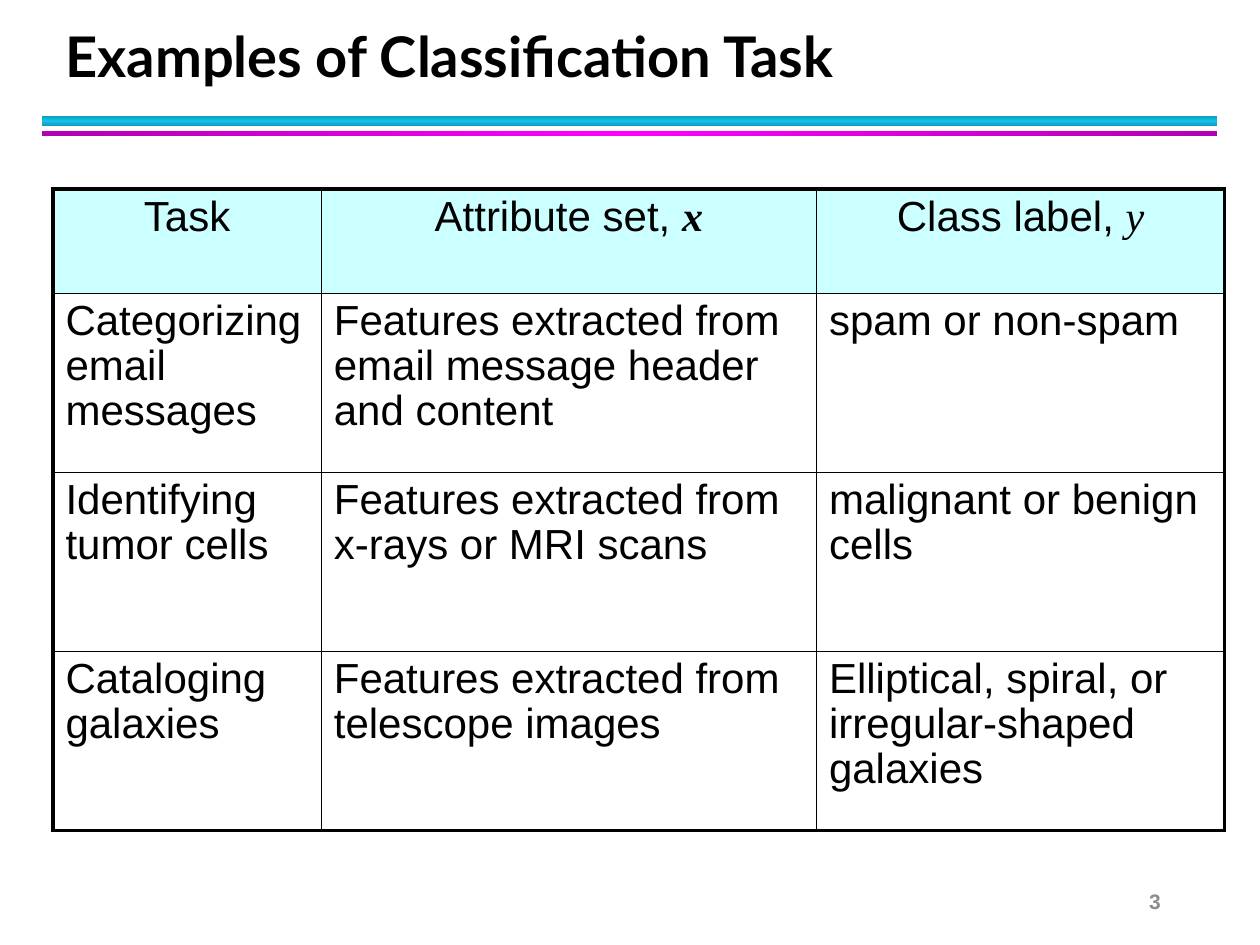
from copy import deepcopy

from pptx import Presentation
from pptx.dml.color import RGBColor
from pptx.enum.shapes import MSO_SHAPE
from pptx.enum.text import MSO_ANCHOR, PP_ALIGN
from pptx.oxml import parse_xml
from pptx.oxml.ns import nsdecls, qn
from pptx.util import Inches, Pt

RECT = MSO_SHAPE.RECTANGLE
MIDDLE, BOTTOM = MSO_ANCHOR.MIDDLE, MSO_ANCHOR.BOTTOM
LEFT, CENTER, RIGHT = PP_ALIGN.LEFT, PP_ALIGN.CENTER, PP_ALIGN.RIGHT

BLACK = RGBColor(0, 0, 0)
GRAY = RGBColor(0x8C, 0x8C, 0x8C)
PALE = RGBColor(0xCC, 0xFF, 0xFF)
TEAL = RGBColor(0x0E, 0x9B, 0xBA)
CYAN = RGBColor(0x12, 0xC2, 0xE9)
PURPLE = RGBColor(0xB2, 0x00, 0xB2)
PINK = RGBColor(0xFF, 0x00, 0xFF)

TITLE = {"name": "Lato", "size": Pt(32), "bold": True}
BODY = {"name": "Arial", "size": Pt(24)}
MATH = {"name": "Times New Roman", "size": Pt(24), "italic": True}
NUMBER = {"name": "Arial", "size": Pt(12), "bold": True}

THIN, THICK = 1, 2.25
COLS = [2.13, 3.93, 3.24]
ROWS = [0.83, 1.42, 1.42, 1.42]
HEAD = [
    [("Task", BODY)],
    [("Attribute set, ", BODY), ("x", MATH | {"bold": True})],
    [("Class label, ", BODY), ("y", MATH)],
]
TASKS = [
    ("Categorizing email messages",
     "Features extracted from email message header and content",
     "spam or non-spam"),
    ("Identifying tumor cells",
     "Features extracted from x-rays or MRI scans",
     "malignant or benign cells"),
    ("Cataloging galaxies",
     "Features extracted from telescope images",
     "Elliptical, spiral, or irregular-shaped galaxies"),
]


class Deck:
    def __init__(self):
        self.show = Presentation()
        self.show.slide_width, self.show.slide_height = Inches(10), Inches(7.5)
        self.slide = self.show.slides.add_slide(self.show.slide_layouts[6])

    def put(self, para, runs, align=LEFT, color=BLACK):
        para.alignment = align
        for text, style in runs:
            run = para.add_run()
            run.text = text
            run.font.color.rgb = color
            for key, value in style.items():
                setattr(run.font, key, value)

    def bar(self, box, edge, core, angle):
        shape = self.slide.shapes.add_shape(RECT, *map(Inches, box))
        shape.shadow.inherit = False
        shape.line.fill.background()
        shape.fill.gradient()
        shape.fill.gradient_angle = angle
        props = shape._element.spPr
        stops = props.find(qn("a:gradFill")).find(qn("a:gsLst"))
        stops.append(deepcopy(stops[0]))
        for stop, color, place in zip(
                shape.fill.gradient_stops, (edge, core, edge), (0, 0.5, 1)):
            stop.color.rgb = color
            stop.position = place

    def text(self, box, runs, anchor, align=LEFT, color=BLACK, pitch=None):
        frame = self.slide.shapes.add_textbox(*map(Inches, box)).text_frame
        frame.word_wrap = True
        frame.vertical_anchor = anchor
        para = frame.paragraphs[0]
        para.line_spacing = pitch
        self.put(para, runs, align, color)

    def border(self, cell, sides):
        props = cell._tc.get_or_add_tcPr()
        for side, width in sides.items():
            props.append(parse_xml(
                f'<a:ln{side} {nsdecls("a")} w="{Pt(width)}"><a:solidFill>'
                f'<a:srgbClr val="{BLACK}"/></a:solidFill></a:ln{side}>'))

    def table(self, left, top, cols, rows, cells):
        size = [Inches(n) for n in (left, top, sum(cols), sum(rows))]
        grid = self.slide.shapes.add_table(len(rows), len(cols), *size).table
        grid.first_row = grid.horz_banding = False
        for col, width in zip(grid.columns, cols):
            col.width = Inches(width)
        for row, height in zip(grid.rows, rows):
            row.height = Inches(height)
        for i, line in enumerate(cells):
            for j, runs in enumerate(line):
                cell = grid.cell(i, j)
                self.border(cell, {
                    "L": THICK if j == 0 else THIN,
                    "R": THICK if j == len(cols) - 1 else THIN,
                    "T": THICK if i == 0 else THIN,
                    "B": THICK if i == len(rows) - 1 else THIN,
                })
                if i == 0:
                    cell.fill.solid()
                    cell.fill.fore_color.rgb = PALE
                else:
                    cell.fill.background()
                para = cell.text_frame.paragraphs[0]
                para.space_after = Pt(4)
                para.line_spacing = 0.96
                self.put(para, runs, LEFT if i else CENTER)


def main():
    deck = Deck()
    deck.bar((0.33, 0.92, 9.33, 0.08), TEAL, CYAN, 90)
    deck.bar((0.33, 1.04, 9.33, 0.04), PURPLE, PINK, 0)
    deck.text((0.42, 0.17, 9.06, 0.58),
              [("Examples of Classification Task", TITLE)], BOTTOM, pitch=Pt(36))
    body = [[[(text, BODY)] for text in task] for task in TASKS]
    deck.table(0.42, 1.5, COLS, ROWS, [HEAD] + body)
    deck.text((7.06, 6.95, 2.25, 0.4), [("3", NUMBER)], MIDDLE, RIGHT, GRAY)
    deck.show.save("out.pptx")


if __name__ == "__main__":
    main()
